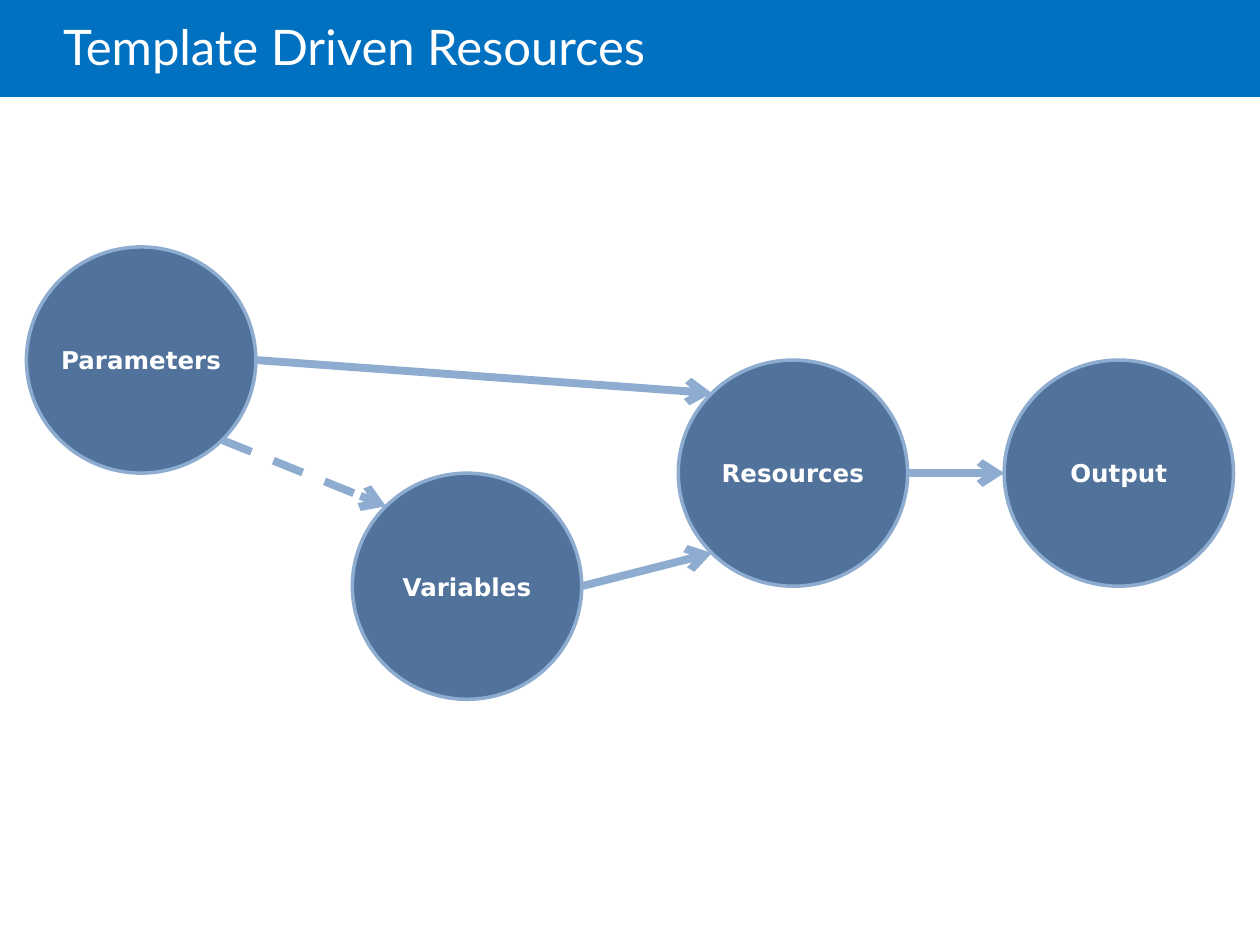
from math import cos, radians, sin

from lxml import etree
from pptx import Presentation
from pptx.dml.color import RGBColor
from pptx.enum.dml import MSO_LINE
from pptx.enum.shapes import MSO_CONNECTOR, MSO_SHAPE
from pptx.enum.text import MSO_ANCHOR, MSO_AUTO_SIZE, PP_ALIGN
from pptx.oxml.ns import qn
from pptx.util import Inches, Pt

WHITE = RGBColor(0xFF, 0xFF, 0xFF)
BAR_BLUE = RGBColor(0x00, 0x70, 0xC0)
NODE_BLUE = RGBColor(0x51, 0x73, 0x9B)
EDGE_BLUE = RGBColor(0x8D, 0xAC, 0xD0)

# name: (column, row); a row step is half a circle's height
NODES = {"Parameters": (0, 0), "Variables": (1, 2), "Resources": (2, 1), "Output": (3, 1)}
# from, angle, to, angle, dashed; angles run clockwise from the right
LINKS = [
    ("Parameters", 0, "Resources", 225, False),
    ("Resources", 0, "Output", 180, False),
    ("Variables", 0, "Resources", 135, False),
    ("Parameters", 45, "Variables", 225, True),
]


def set_text(sp, text, *, font, size, align, bold=False, spacing=1.0, margins=(0, 0, 0, 0)):
    tf = sp.text_frame
    tf.word_wrap = True
    tf.auto_size = MSO_AUTO_SIZE.NONE
    tf.vertical_anchor = MSO_ANCHOR.MIDDLE
    tf.margin_left, tf.margin_top, tf.margin_right, tf.margin_bottom = map(Inches, margins)
    p = tf.paragraphs[0]
    p.alignment = align
    p.line_spacing = spacing
    r = p.add_run()
    r.text = text
    r.font.name = font
    r.font.size = Pt(size)
    r.font.bold = bold
    r.font.color.rgb = WHITE


def add_header(s, text, width, height):
    bar = s.shapes.add_shape(MSO_SHAPE.RECTANGLE, 0, 0, width, height)
    bar.shadow.inherit = False
    bar.fill.solid()
    bar.fill.fore_color.rgb = BAR_BLUE
    bar.line.fill.background()
    title = s.shapes.title
    title._element.addprevious(bar._element)
    title.left, title.top = int(width * 0.05), 0
    title.width, title.height = int(width * 0.85), int(height * 1.05)
    set_text(title, text, font="Lato", size=28, align=PP_ALIGN.LEFT,
             spacing=0.85, margins=(0, 0.05, 0.1, 0.05))


def add_node(shapes, name, left, top, width, height):
    sp = shapes.add_shape(MSO_SHAPE.OVAL, left, top, width, height)
    sp.shadow.inherit = False
    sp.fill.solid()
    sp.fill.fore_color.rgb = NODE_BLUE
    sp.line.color.rgb = EDGE_BLUE
    sp.line.width = Pt(2)
    set_text(sp, name, font="DejaVu Sans", size=14, bold=True, align=PP_ALIGN.CENTER)
    return sp


def rim_point(sp, angle):
    """Return the point on an oval's outline at the given angle."""
    a = radians(angle)
    return (int(sp.left + sp.width / 2 * (1 + cos(a))),
            int(sp.top + sp.height / 2 * (1 + sin(a))))


def add_arrow(shapes, start, end, dashed):
    line = shapes.add_connector(MSO_CONNECTOR.STRAIGHT, *start, *end)
    line.line.color.rgb = EDGE_BLUE
    line.line.width = Pt(4.5)
    if dashed:
        line.line.dash_style = MSO_LINE.DASH
    etree.SubElement(line.line._get_or_add_ln(), qn("a:tailEnd"), type="arrow")
    etree.SubElement(line._element.spPr, qn("a:effectLst"))


def add_flow(s, left, top, width, height):
    shapes = s.shapes.add_group_shape().shapes
    node_w, node_h = int(width * 0.19), height // 2
    col_step, row_step = (width - node_w) // 3, node_h // 2
    nodes = {
        name: add_node(shapes, name, left + col * col_step, top + row * row_step, node_w, node_h)
        for name, (col, row) in NODES.items()
    }
    for source, out_angle, target, in_angle, dashed in LINKS:
        add_arrow(shapes, rim_point(nodes[source], out_angle),
                  rim_point(nodes[target], in_angle), dashed)


def main():
    prs = Presentation()
    prs.slide_width, prs.slide_height = Inches(10), Inches(7.5)
    s = prs.slides.add_slide(prs.slide_layouts[5])
    add_header(s, "Template Driven Resources", prs.slide_width, Inches(0.77))
    add_flow(s, Inches(0.21), Inches(1.96), Inches(9.58), Inches(3.59))
    prs.save("out.pptx")


if __name__ == "__main__":
    main()
